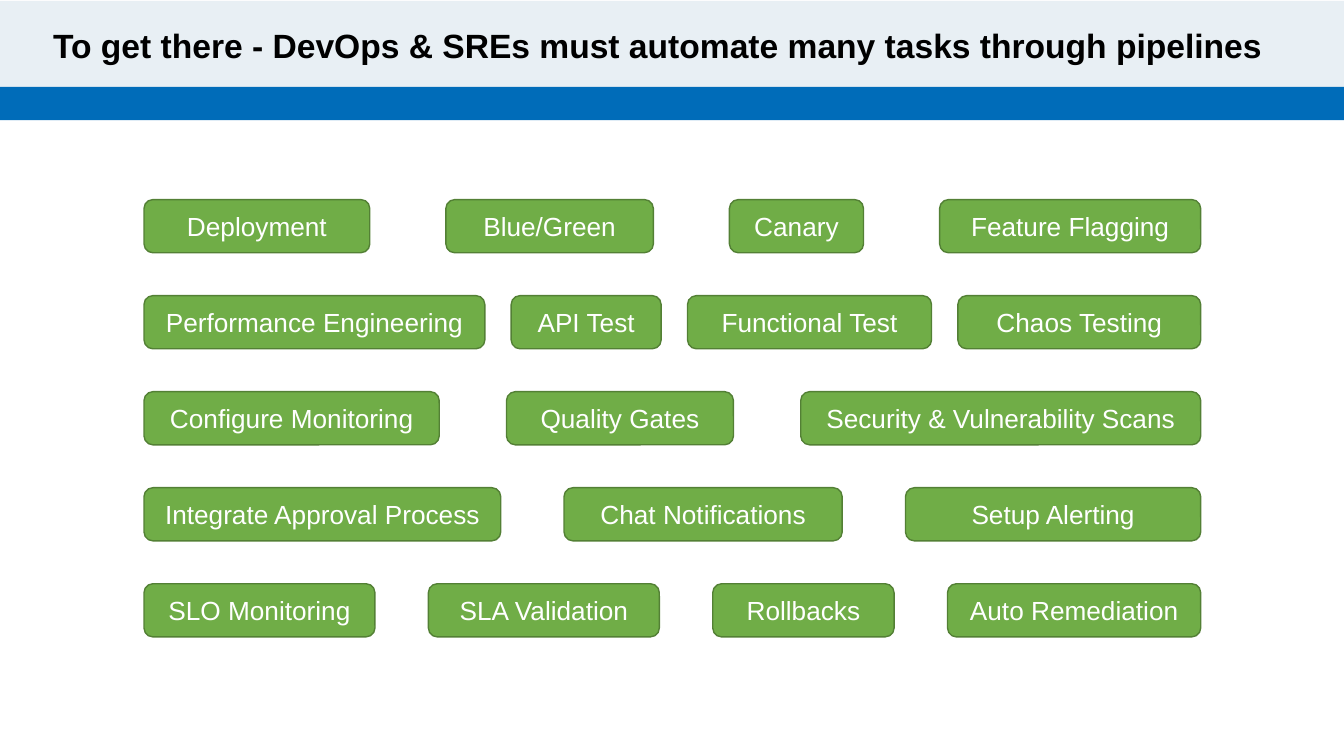
from pptx import Presentation
from pptx.dml.color import RGBColor
from pptx.enum.shapes import MSO_SHAPE
from pptx.enum.text import MSO_ANCHOR, PP_ALIGN
from pptx.util import Cm, Pt

RECT = MSO_SHAPE.RECTANGLE
ROUNDED = MSO_SHAPE.ROUNDED_RECTANGLE
MIDDLE = MSO_ANCHOR.MIDDLE
CENTER = PP_ALIGN.CENTER

FONT = "Arial"
COLORS = {
    "title_band": "E8EFF4",
    "stripe": "006CB9",
    "title": "000000",
    "task": "70AD47",
    "task_line": "538035",
    "task_text": "FFFFFF",
}

SLIDE_W, SLIDE_H = 33.87, 19.05
TITLE = "To get there - DevOps & SREs must automate many tasks through pipelines"

# Each row holds its tasks with their widths in cm
TASK_ROWS = [
    [("Deployment", 5.69), ("Blue/Green", 5.23), ("Canary", 3.38),
     ("Feature Flagging", 6.58)],
    [("Performance Engineering", 8.59), ("API Test", 3.78),
     ("Functional Test", 6.15), ("Chaos Testing", 6.12)],
    [("Configure Monitoring", 7.44), ("Quality Gates", 5.72),
     ("Security & Vulnerability Scans", 10.08)],
    [("Integrate Approval Process", 8.99), ("Chat Notifications", 7.01),
     ("Setup Alerting", 7.44)],
    [("SLO Monitoring", 5.82), ("SLA Validation", 5.82), ("Rollbacks", 4.57),
     ("Auto Remediation", 6.38)],
]
TASK_H = 1.34


def color(name):
    return RGBColor.from_string(COLORS[name])


def add_box(slide, kind, left, top, width, height, fill, line=None):
    sp = slide.shapes.add_shape(kind, Cm(left), Cm(top), Cm(width), Cm(height))
    sp.shadow.inherit = False
    sp.fill.solid()
    sp.fill.fore_color.rgb = color(fill)
    if line:
        sp.line.color.rgb = color(line)
        sp.line.width = Pt(1)
    else:
        sp.line.fill.background()
    return sp


def write(tf, text, size, font_color, bold=False):
    p = tf.paragraphs[0]
    p.text = text
    p.font.name = FONT
    p.font.size = Pt(size)
    p.font.bold = bold
    p.font.color.rgb = color(font_color)
    return p


def add_header(slide, left, top, width, height):
    # Pale title band above a blue stripe
    stripe_h = 0.84
    band_h = height - stripe_h
    add_box(slide, RECT, left, top, width, band_h, "title_band")
    add_box(slide, RECT, left, top + band_h, width, stripe_h, "stripe")

    # Title
    tb = slide.shapes.add_textbox(Cm(left + 1.09), Cm(top + 0.59),
                                  Cm(width - 1.36), Cm(1.45))
    tb.text_frame.word_wrap = True
    p = write(tb.text_frame, TITLE, 24, "title", bold=True)
    p.line_spacing = 0.9


def add_task(slide, text, left, top, width):
    sp = add_box(slide, ROUNDED, left, top, width, TASK_H, "task", "task_line")
    tf = sp.text_frame
    tf.word_wrap = True
    tf.vertical_anchor = MIDDLE
    write(tf, text, 18.7, "task_text").alignment = CENTER


def add_tasks(slide, left, top, width, height):
    # Rows are evenly spaced, and each row is justified to the full width
    pitch = (height - TASK_H) / (len(TASK_ROWS) - 1)
    for i, row in enumerate(TASK_ROWS):
        gap = (width - sum(w for _, w in row)) / (len(row) - 1)
        x = left
        for text, w in row:
            add_task(slide, text, x, top + i * pitch, w)
            x += w + gap


def main():
    prs = Presentation()
    prs.slide_width, prs.slide_height = Cm(SLIDE_W), Cm(SLIDE_H)
    slide = prs.slides.add_slide(prs.slide_layouts[6])
    add_header(slide, 0, 0.02, SLIDE_W, 3.01)
    add_tasks(slide, 3.63, 5.03, 26.63, 11.02)
    prs.save("out.pptx")


if __name__ == "__main__":
    main()
